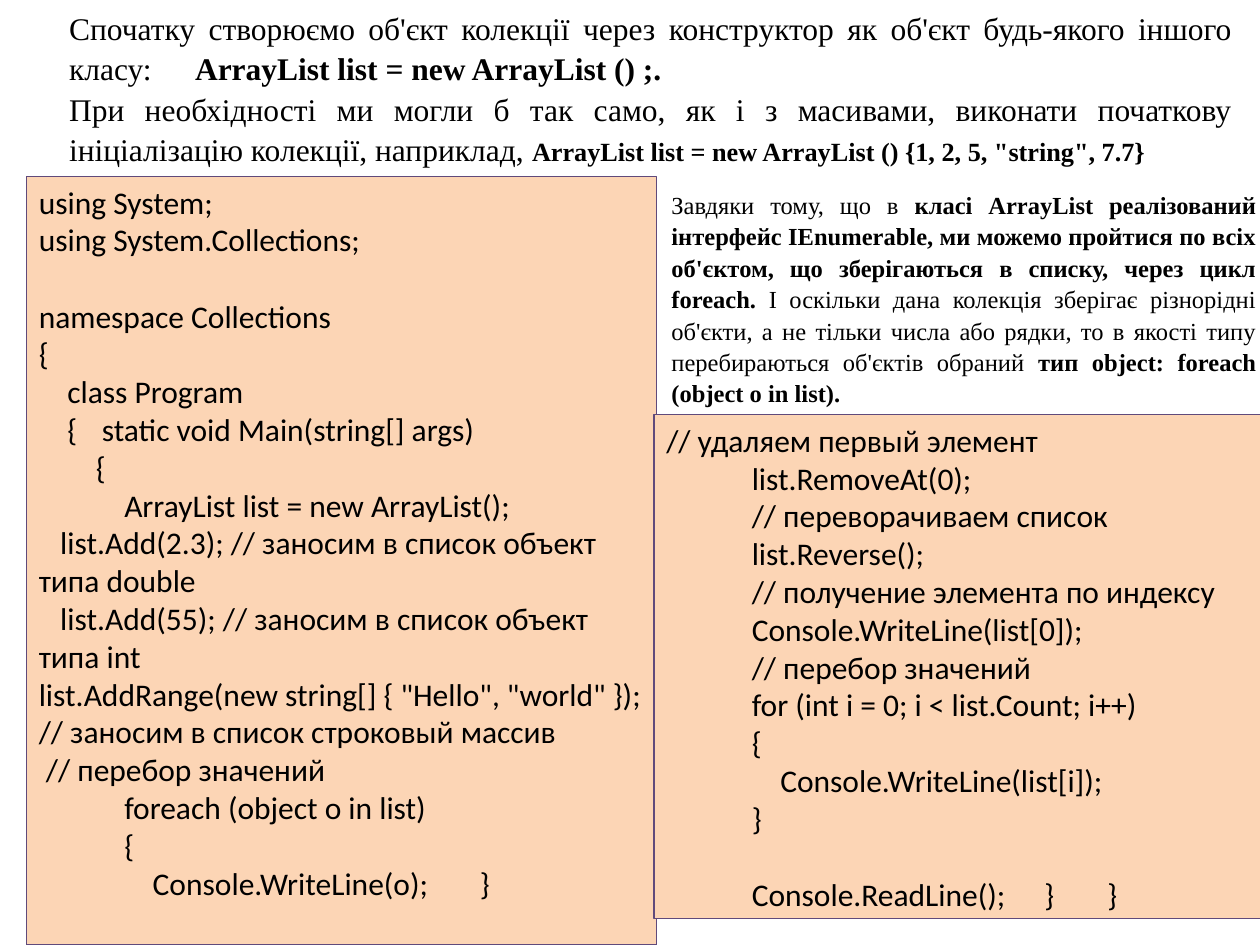
from lxml import etree
from pptx import Presentation
from pptx.dml.color import RGBColor
from pptx.enum.shapes import MSO_SHAPE
from pptx.enum.text import MSO_ANCHOR, PP_ALIGN
from pptx.oxml.ns import qn
from pptx.util import Pt

RECT = MSO_SHAPE.RECTANGLE
TOP = MSO_ANCHOR.TOP
LEFT = PP_ALIGN.LEFT
JUSTIFY = PP_ALIGN.JUSTIFY
SERIF = "Times New Roman"
SANS = "Calibri"
BLACK, PEACH, PURPLE = "000000", "FCD5B5", "604A7B"
CODE_SIZE = 18
SPACE_WIDTH = 4.07
BLANK_LINE = 22

LEFT_CODE = [
    (0, "using System;", {}),
    (0, "using System.Collections;", {}),
    (0, "namespace Collections", {"before": BLANK_LINE}),
    (0, "{", {}),
    (4, "class Program", {}),
    (4, "{\tstatic void Main(string[] args)", {"tabs": [54.3]}),
    (8, "{", {}),
    (12, "ArrayList list = new ArrayList();", {}),
    (3, "list.Add(2.3); // заносим в список объект типа double", {}),
    (3, "list.Add(55); // заносим в список объект типа int", {}),
    (0, 'list.AddRange(new string[] { "Hello", "world" }); '
        "// заносим в список строковый массив", {}),
    (1, "// перебор значений", {}),
    (12, "foreach (object o in list)", {}),
    (12, "{", {}),
    (16, "Console.WriteLine(o);\t}", {"tabs": [271]}),
]

RIGHT_CODE = [
    (0, "// удаляем первый элемент", {}),
    (12, "list.RemoveAt(0);", {}),
    (12, "// переворачиваем список", {}),
    (12, "list.Reverse();", {}),
    (12, "// получение элемента по индексу", {}),
    (12, "Console.WriteLine(list[0]);", {}),
    (12, "// перебор значений", {}),
    (12, "for (int i = 0; i < list.Count; i++)", {}),
    (12, "{", {}),
    (16, "Console.WriteLine(list[i]);", {}),
    (12, "}", {}),
    (12, "Console.ReadLine();\t}\t}", {"before": BLANK_LINE, "tabs": [222, 244]}),
]


def rgb(hex_color):
    return RGBColor.from_string(hex_color)


def add_run(p, text, size=CODE_SIZE, font=SERIF, bold=False, color=BLACK):
    r = p.add_run()
    r.text = text
    r.font.size = Pt(size)
    r.font.name = font
    r.font.bold = bold
    r.font.color.rgb = rgb(color)


def add_paragraph(tf, first, align=LEFT, spacing=1.0, before=0, indent=0, tabs=()):
    p = tf.paragraphs[0] if first else tf.add_paragraph()
    p.alignment = align
    p.line_spacing = spacing
    p.space_before = Pt(before)
    pPr = p._p.get_or_add_pPr()
    pPr.set("marL", "0")
    pPr.set("indent", str(Pt(indent)))
    if tabs:
        tab_list = etree.SubElement(pPr, qn("a:tabLst"))
        for pos in tabs:
            etree.SubElement(tab_list, qn("a:tab"), pos=str(Pt(pos)), algn="l")
    return p


def set_frame(sp):
    tf = sp.text_frame
    tf.word_wrap = True
    tf.vertical_anchor = TOP
    return tf


def add_code_box(s, x, y, w, h, lines):
    sp = s.shapes.add_shape(RECT, Pt(x), Pt(y), Pt(w), Pt(h))
    sp.shadow.inherit = False
    sp.fill.solid()
    sp.fill.fore_color.rgb = rgb(PEACH)
    sp.line.color.rgb = rgb(PURPLE)
    sp.line.width = Pt(0.75)
    tf = set_frame(sp)
    for i, (columns, text, layout) in enumerate(lines):
        p = add_paragraph(tf, i == 0, indent=columns * SPACE_WIDTH, **layout)
        add_run(p, text, font=SANS)


def add_prose(s, x, y, w, h, paragraphs):
    tf = set_frame(s.shapes.add_textbox(Pt(x), Pt(y), Pt(w), Pt(h)))
    for i, (runs, layout) in enumerate(paragraphs):
        p = add_paragraph(tf, i == 0, align=JUSTIFY, spacing=1.07, **layout)
        for text, style in runs:
            add_run(p, text, **style)


def main():
    prs = Presentation()
    prs.slide_width, prs.slide_height = Pt(720), Pt(540)
    s = prs.slides.add_slide(prs.slide_layouts[6])

    add_code_box(s, 15.12, 100.8, 360, 439.2, LEFT_CODE)
    add_code_box(s, 373.7, 236.9, 360, 288, RIGHT_CODE)

    add_prose(s, 32.4, 0, 679, 100, [
        ([("Спочатку створюємо об'єкт колекції через конструктор "
           "як об'єкт будь-якого іншого класу:", {}),
          ("\tArrayList list = new ArrayList () ;.", {"bold": True})],
         {"tabs": [106]}),
        ([("При необхідності ми могли б так само, як і з масивами, виконати "
           "початкову ініціалізацію колекції, наприклад, ", {}),
          ('ArrayList list = new ArrayList () {1, 2, 5, "string", 7.7}',
           {"size": 15, "bold": True})], {}),
    ])

    body, strong = {"size": 14}, {"size": 14, "bold": True}
    add_prose(s, 376.6, 103.7, 348.5, 133.2, [
        ([("Завдяки тому, що в", body),
          (" класі ArrayList реалізований інтерфейс IEnumerable, ми можемо "
           "пройтися по всіх об'єктом, що зберігаються в списку, "
           "через цикл foreach. ", strong),
          ("І оскільки дана колекція зберігає різнорідні об'єкти, а не тільки "
           "числа або рядки, то в якості типу перебираються об'єктів обраний", body),
          (" тип object: foreach (object o in list).", strong)], {}),
    ])

    prs.save("out.pptx")


if __name__ == "__main__":
    main()
